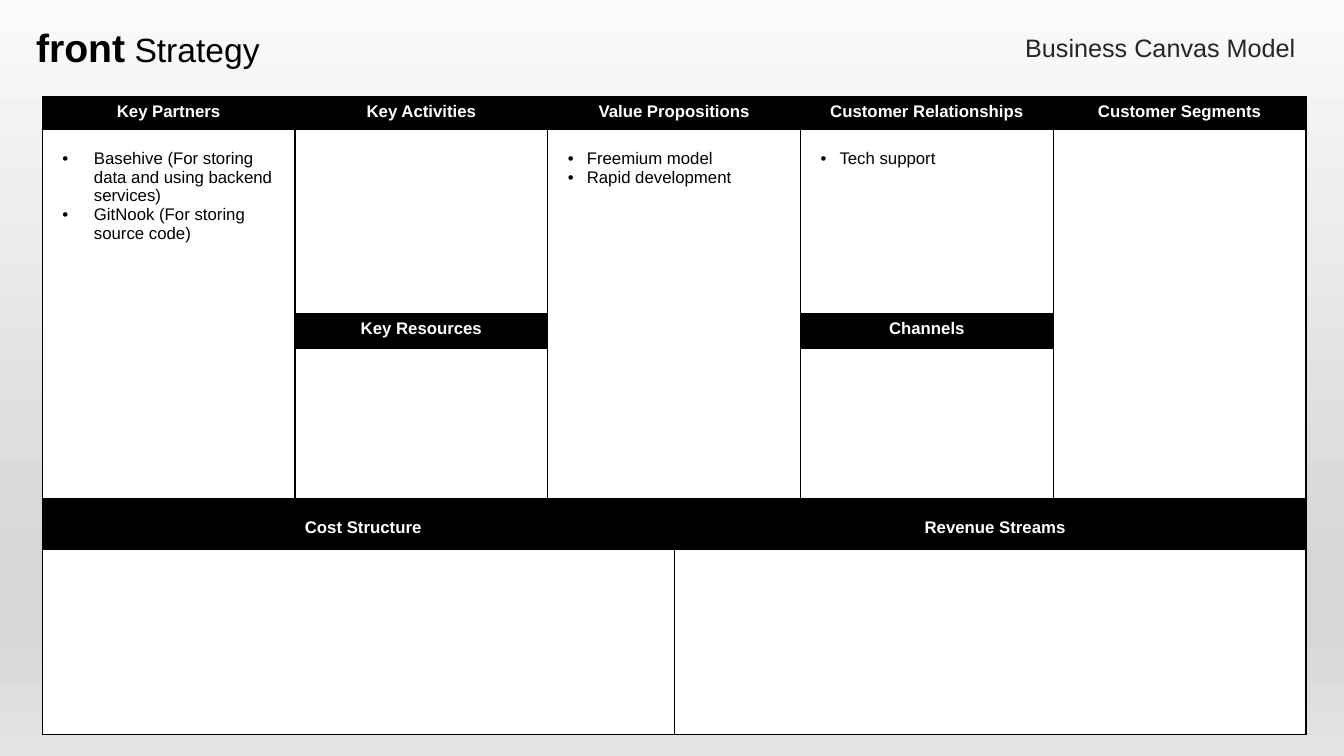
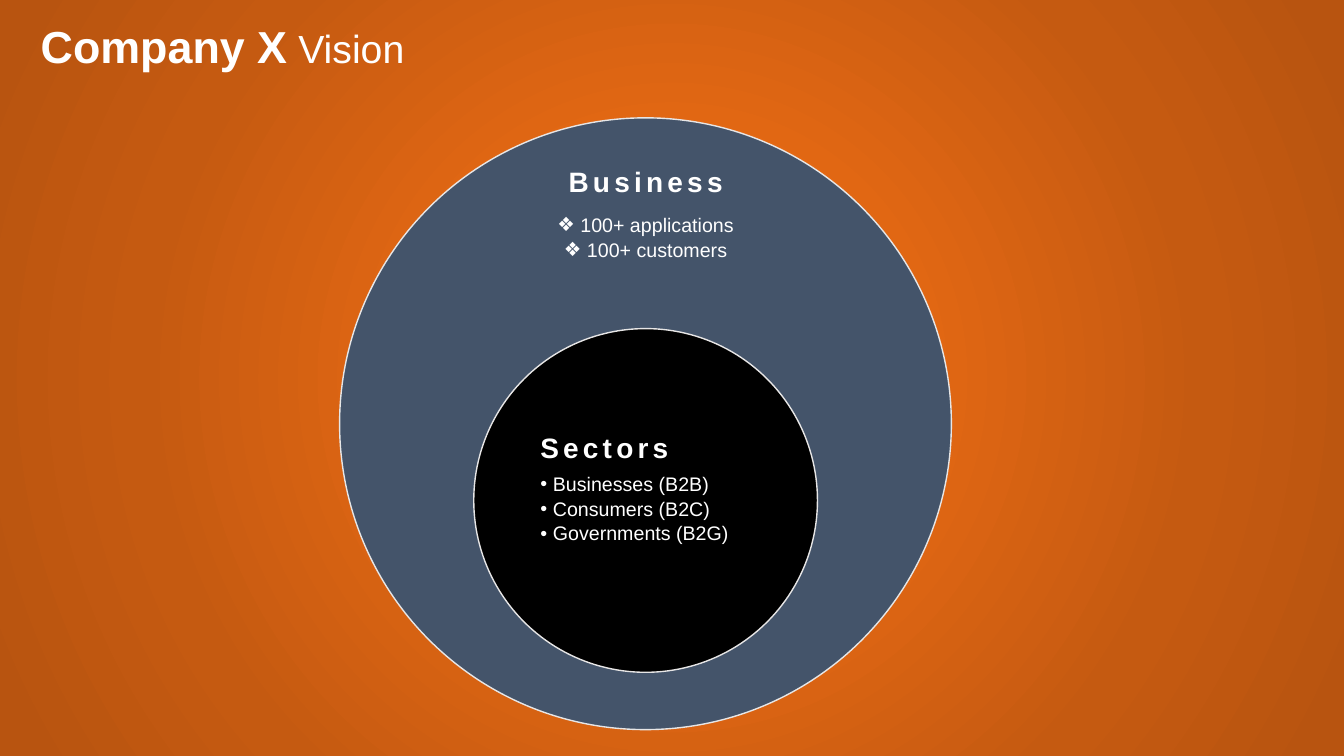
from dataclasses import dataclass

from pptx import Presentation
from pptx.dml.color import RGBColor
from pptx.enum.shapes import MSO_SHAPE
from pptx.enum.text import MSO_ANCHOR, MSO_AUTO_SIZE, PP_ALIGN
from pptx.oxml import parse_xml
from pptx.oxml.ns import nsdecls, qn
from pptx.util import Pt

# Shared style
COLORS = {
    "black": "000000",
    "white": "FFFFFF",
    "ink": "262626",
    "slate": "44546A",
    "outline": "E7E6E6",
}
FONT = "Arial"
DEFAULT_INSETS = (7.2, 3.6, 7.2, 3.6)
DEEP_INSETS = (14.4, 14.4, 7.2, 3.6)
GREY_STOPS = [(0, "FAFAFA"), (74, "D7D7D7"), (83, "D7D7D7"), (100, "E4E4E4")]
ORANGE_STOPS = [(0, "EA6B14"), (23, "EA6B14"), (69, "C55A11"), (97, "B85410")]
LINEAR = '<a:lin ang="5400000" scaled="0"/>'
RADIAL = ('<a:path path="circle">'
          '<a:fillToRect l="50000" t="50000" r="50000" b="50000"/></a:path>')

# Canvas grid: the middle column is split so that the lower blocks are halves
COLUMN = 180.56
COLUMN_WIDTHS = [COLUMN, COLUMN, COLUMN / 2, COLUMN / 2, COLUMN, COLUMN]
ROW_HEIGHTS = [23, 132.2, 24.6, 107.2, 36.6, 132.2]


@dataclass
class Line:
    text: str
    size: float = 12
    bold: bool = False
    color: str = "black"
    align: PP_ALIGN = PP_ALIGN.LEFT
    bullet: str = ""
    indent: float = 0
    tracking: float = 0
    leading: float = 1.0
    after: float = 0


def rgb(name):
    return RGBColor.from_string(COLORS[name])


def format_span(span, size, bold, color):
    span.font.name = FONT
    span.font.size = Pt(size)
    span.font.bold = bold
    span.font.color.rgb = rgb(color)


def write_lines(frame, lines):
    frame.text = "\n".join(line.text for line in lines)
    for para, line in zip(frame.paragraphs, lines):
        para.alignment = line.align
        para.line_spacing = line.leading
        para.space_after = Pt(line.after)
        for span in para.runs:
            format_span(span, line.size, line.bold, line.color)
            if line.tracking:
                span.font._element.set("spc", str(int(line.tracking * 100)))
        if line.bullet:
            props = para._p.get_or_add_pPr()
            props.set("marL", str(Pt(line.indent)))
            props.set("indent", str(-Pt(line.indent)))
            props.append(parse_xml(
                f'<a:buFont {nsdecls("a")} typeface="{FONT}"/>'))
            props.append(parse_xml(
                f'<a:buChar {nsdecls("a")} char="{line.bullet}"/>'))


def add_text(shapes, left, top, width, height, lines,
             insets=DEFAULT_INSETS, wrap=True):
    box = shapes.add_textbox(Pt(left), Pt(top), Pt(width), Pt(height))
    frame = box.text_frame
    frame.word_wrap = wrap
    frame.margin_left, frame.margin_top, frame.margin_right, frame.margin_bottom = map(Pt, insets)
    write_lines(frame, lines)
    return box


def add_title(page, left, top, width, height, name, topic, size, color, align):
    box = add_text(page.shapes, left, top, width, height,
                   [Line(name, size, True, color, align)], wrap=False)
    box.text_frame.auto_size = MSO_AUTO_SIZE.SHAPE_TO_FIT_TEXT
    span = box.text_frame.paragraphs[0].add_run()
    span.text = f" {topic}"
    format_span(span, size - 4, False, color)


def set_background(page, stops, direction):
    page.background.fill.solid()
    props = page.element.find(".//" + qn("p:bgPr"))
    stop_xml = "".join(
        f'<a:gs pos="{place * 1000}"><a:srgbClr val="{color}"/></a:gs>'
        for place, color in stops)
    props.replace(props[0], parse_xml(
        f'<a:gradFill {nsdecls("a")} rotWithShape="1">'
        f'<a:gsLst>{stop_xml}</a:gsLst>{direction}</a:gradFill>'))


def add_circle(shapes, left, top, diameter, fill):
    circle = shapes.add_shape(MSO_SHAPE.OVAL, Pt(left), Pt(top),
                              Pt(diameter), Pt(diameter))
    circle.shadow.inherit = False
    circle.fill.solid()
    circle.fill.fore_color.rgb = rgb(fill)
    circle.line.color.rgb = rgb("outline")
    circle.line.width = Pt(1)


def style_cell(cell, fill):
    cell.fill.solid()
    cell.fill.fore_color.rgb = rgb(fill)
    props = cell._tc.get_or_add_tcPr()
    for index, side in enumerate("LRTB"):
        props.insert(index, parse_xml(
            f'<a:ln{side} {nsdecls("a")} w="{Pt(1)}"><a:solidFill>'
            f'<a:srgbClr val="{COLORS["black"]}"/></a:solidFill></a:ln{side}>'))


def fill_cell(cell, lines, insets=DEFAULT_INSETS):
    cell.margin_left, cell.margin_top, cell.margin_right, cell.margin_bottom = map(Pt, insets)
    cell.vertical_anchor = MSO_ANCHOR.TOP
    write_lines(cell.text_frame, lines)


def add_canvas(page, left, top):
    headers = {
        (0, 0): "Key Partners", (0, 1): "Key Activities",
        (0, 2): "Value Propositions", (0, 4): "Customer Relationships",
        (0, 5): "Customer Segments", (2, 1): "Key Resources",
        (2, 4): "Channels", (4, 0): "Cost Structure",
        (4, 3): "Revenue Streams",
    }
    entries = {
        (1, 0): (22.5, ["Basehive (For storing data and using backend services)",
                        "GitNook (For storing source code)"]),
        (1, 2): (13.5, ["Freemium model", "Rapid development"]),
        (1, 4): (13.5, ["Tech support"]),
    }
    merges = [((0, 2), (0, 3)), ((1, 0), (3, 0)), ((1, 2), (3, 3)),
              ((1, 5), (3, 5)), ((4, 0), (4, 2)), ((4, 3), (4, 5)),
              ((5, 0), (5, 2)), ((5, 3), (5, 5))]

    table = page.shapes.add_table(
        len(ROW_HEIGHTS), len(COLUMN_WIDTHS), Pt(left), Pt(top),
        Pt(sum(COLUMN_WIDTHS)), Pt(sum(ROW_HEIGHTS))).table
    table.first_row = table.horz_banding = False
    for column, width in zip(table.columns, COLUMN_WIDTHS):
        column.width = Pt(width)
    for row, height in zip(table.rows, ROW_HEIGHTS):
        row.height = Pt(height)

    # Cell fills and borders, then the merged blocks
    for row in range(len(ROW_HEIGHTS)):
        for column in range(len(COLUMN_WIDTHS)):
            is_header = row in (0, 4) or (row, column) in headers
            style_cell(table.cell(row, column), "black" if is_header else "white")
    for first, last in merges:
        table.cell(*first).merge(table.cell(*last))

    # Wording
    for place, text in headers.items():
        insets = DEEP_INSETS if place[0] == 4 else DEFAULT_INSETS
        fill_cell(table.cell(*place),
                  [Line(text, bold=True, color="white", align=PP_ALIGN.CENTER)],
                  insets)
    for place, (indent, texts) in entries.items():
        fill_cell(table.cell(*place),
                  [Line(text, bullet="•", indent=indent) for text in texts],
                  DEEP_INSETS)


def ring_lines(heading, items, bullet, align, gap):
    lines = [Line(heading, 20, True, "white", align, tracking=3, after=gap)]
    lines += [Line(item, 14, False, "white", align, bullet, 9, leading=0.9, after=2.5)
              for item in items]
    return lines


def build_canvas_page(page):
    set_background(page, GREY_STOPS, LINEAR)
    add_canvas(page, 30.2, 69.1)
    add_title(page, 18.7, 13, 175.7, 41, "front", "Strategy", 28, "black",
              PP_ALIGN.LEFT)
    add_text(page.shapes, 722.9, 19.4, 209.5, 29,
             [Line("Business Canvas Model", 18, color="ink", align=PP_ALIGN.RIGHT)])


def build_vision_page(page):
    set_background(page, ORANGE_STOPS, RADIAL)
    rings = page.shapes.add_group_shape().shapes

    # Outer ring
    add_circle(rings, 242.6, 84.2, 437, "slate")
    add_text(rings, 346.3, 117.4, 229.7, 74.2,
             ring_lines("Business", [" 100+ applications", " 100+ customers"],
                        "❖", PP_ALIGN.CENTER, 12.5),
             (0, 0, 0, 8.6))

    # Inner ring
    add_circle(rings, 338.4, 234.7, 245.5, "black")
    add_text(rings, 374.4, 295.9, 173.5, 123.1,
             ring_lines("Sectors", ["Businesses (B2B)", "Consumers (B2C)",
                                    "Governments (B2G)"],
                        "•", PP_ALIGN.LEFT, 7.5),
             (11.5,) * 4)

    add_title(page, 19.4, 10.1, 276.5, 46, "Company X", "Vision", 32, "white",
              PP_ALIGN.RIGHT)


def main():
    deck = Presentation()
    deck.slide_width, deck.slide_height = Pt(960), Pt(540)
    for build in (build_canvas_page, build_vision_page):
        build(deck.slides.add_slide(deck.slide_layouts[6]))
    deck.save("out.pptx")


if __name__ == "__main__":
    main()
